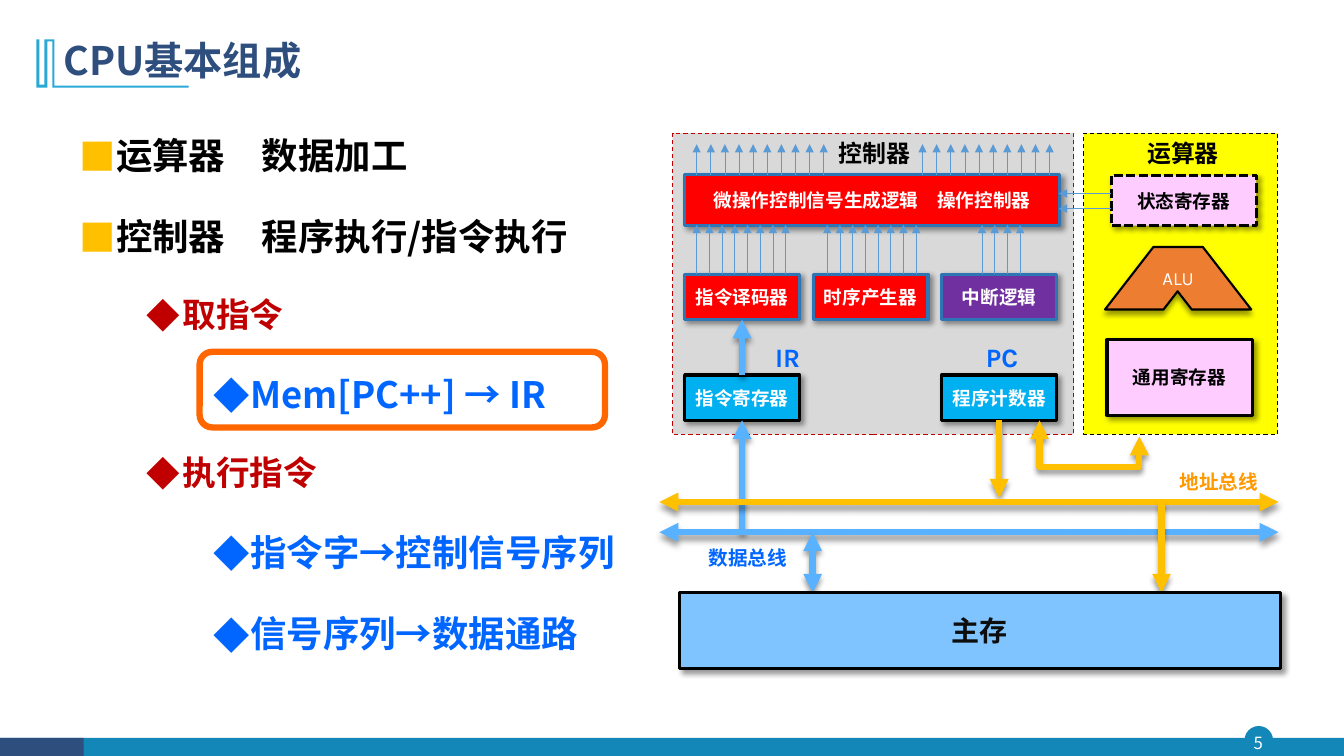
from lxml import etree
from pptx import Presentation
from pptx.dml.color import RGBColor
from pptx.enum.dml import MSO_LINE
from pptx.enum.shapes import MSO_CONNECTOR, MSO_SHAPE
from pptx.enum.text import MSO_ANCHOR, MSO_AUTO_SIZE, PP_ALIGN
from pptx.oxml.ns import qn
from pptx.util import Inches, Pt

RECT, ROUND, OVAL = MSO_SHAPE.RECTANGLE, MSO_SHAPE.ROUNDED_RECTANGLE, MSO_SHAPE.OVAL
DASH, DOTS = MSO_LINE.DASH, MSO_LINE.SQUARE_DOT
LEFT, CENTER = PP_ALIGN.LEFT, PP_ALIGN.CENTER
STRAIGHT, MIDDLE = MSO_CONNECTOR.STRAIGHT, MSO_ANCHOR.MIDDLE
TOP, BOTTOM = 0, 2
HAN, LATIN = "Noto Sans CJK SC", "Karla"

BLACK = RGBColor(0, 0, 0)
WHITE = RGBColor(255, 255, 255)
NAVY = RGBColor(0x2E, 0x4E, 0x7E)
TEAL = RGBColor(0x13, 0x87, 0xB7)
CYAN = RGBColor(0x28, 0xA9, 0xD6)
YELLOW = RGBColor(255, 255, 0)
PINK = RGBColor(255, 0xCC, 255)
RUST = RGBColor(0xED, 0x7D, 0x31)
GRAY = RGBColor(0xD9, 0xD9, 0xD9)
RED = RGBColor(255, 0, 0)
DARK_RED = RGBColor(0xC0, 0, 0)
PURPLE = RGBColor(0x70, 0x30, 0xA0)
EDGE = RGBColor(0x2E, 0x75, 0xB6)
SIGNAL = RGBColor(0x5B, 0x9B, 0xD5)
AQUA = RGBColor(0, 0xB0, 0xF0)
GOLD = RGBColor(255, 0xC0, 0)
SKY = RGBColor(0x59, 0xB2, 255)
PALE = RGBColor(0x7F, 0xC4, 255)
INK = RGBColor(0x0D, 0x0D, 0x0D)
BLUE = RGBColor(0, 0x66, 255)
AMBER = RGBColor(255, 0x99, 0)
ORANGE = RGBColor(255, 0x66, 0)


def style(para, size, color, bold=True, face=HAN, align=LEFT):
    para.alignment = align
    font = para.font
    font.size, font.bold, font.name = Pt(size), bold, face
    font.color.rgb = color
    etree.SubElement(font._element.find(qn("a:defRPr")) if font._element.tag == qn("a:pPr")
                     else font._element, qn("a:ea"), typeface=HAN) if hasattr(font, "_element") \
        else etree.SubElement(para._p.pPr.find(qn("a:defRPr")), qn("a:ea"), typeface=HAN)


def effect(shape, angle=None):
    """Clear the theme shadow; with an angle, cast a soft one that way."""
    props = shape._element.spPr
    node = props.find(qn("a:effectLst"))
    if node is None:
        node = etree.SubElement(props, qn("a:effectLst"))
    if angle is not None:
        cast = etree.SubElement(node, qn("a:outerShdw"), blurRad=str(Pt(4)), dist=str(Pt(3)),
                                dir=str(angle * 60000), algn="ctr", rotWithShape="0")
        tint = etree.SubElement(cast, qn("a:srgbClr"), val="000000")
        etree.SubElement(tint, qn("a:alpha"), val="40000")


def paint(shape, fill, edge=None, width=1, dash=None, angle=None):
    if fill is None:
        shape.fill.background()
    else:
        shape.fill.solid()
        shape.fill.fore_color.rgb = fill
    if edge is None:
        shape.line.fill.background()
    else:
        shape.line.color.rgb = edge
        shape.line.width = Pt(width)
        if dash:
            shape.line.dash_style = dash
    effect(shape, angle)


def write(shape, text, size, color, bold=True, face=HAN, align=CENTER):
    frame = shape.text_frame
    frame.vertical_anchor = MIDDLE
    frame.word_wrap = True
    if align == CENTER:
        frame.margin_left = frame.margin_right = 0
        frame.margin_top = frame.margin_bottom = 0
    frame.text = text
    style(frame.paragraphs[0], size, color, bold, face, align)


def block(tree, box, fill, edge=None, width=1, dash=None, angle=None, kind=RECT):
    shape = tree.add_shape(kind, *map(Inches, box))
    paint(shape, fill, edge, width, dash, angle)
    return shape


def unit(tree, box, text, fill, edge, color=WHITE, size=13.3, dash=None):
    """A labelled hardware block with a shadow."""
    shape = block(tree, box, fill, edge, 2.25, dash, 45)
    write(shape, text, size, color)
    return shape


def label(tree, box, text, size, color, face=HAN, bold=True, align=LEFT):
    write(tree.add_textbox(*map(Inches, box)), text, size, color, bold, face, align)


def tips(shape, ends):
    for end in ends:
        etree.SubElement(shape.line._get_or_add_ln(), qn(f"a:{end}End"), type="triangle")


def arrow(tree, start, stop, color, width=4.5, ends=("tail",), angle=90):
    line = tree.add_connector(STRAIGHT, *map(Inches, (*start, *stop)))
    line.line.color.rgb = color
    line.line.width = Pt(width)
    tips(line, ends)
    effect(line, angle)
    return line


def fan(tree, x, low, high, count, step):
    """A row of thin upward signal arrows."""
    for i in range(count):
        at = x + i * step
        arrow(tree, (at, low), (at, high), SIGNAL, 0.5, angle=None)


def outline(tree, x, y, points, close=True):
    spots = [(Inches(x + dx), Inches(y + dy)) for dx, dy in points]
    form = tree.build_freeform(*spots[0], scale=1.0)
    form.add_line_segments(spots[1:], close=close)
    return form.convert_to_shape()


def frame_page(tree, wide, high):
    block(tree, (wide - 0.98, high - 0.29, 0.27, 0.27), TEAL, TEAL, kind=OVAL)
    block(tree, (0, high - 0.18, wide, 0.18), TEAL)
    block(tree, (0, high - 0.18, 0.83, 0.18), NAVY)
    label(tree, (wide - 1.01, high - 0.29, 0.32, 0.31), "5", 12, WHITE, bold=False, align=CENTER)
    mark = [(0.18, 0), (0.18, 0.46), (1.51, 0.46), (1.51, 0.48), (0.16, 0.48), (0.16, 0.02),
            (0.11, 0.02), (0.11, 0.48), (0, 0.48), (0, 0), (0.03, 0), (0.03, 0.45),
            (0.08, 0.45), (0.08, 0)]
    paint(outline(tree, 0.36, 0.39, mark), CYAN)


def place(holder, box):
    holder.left, holder.top, holder.width, holder.height = map(Inches, box)
    holder.text_frame.auto_size = MSO_AUTO_SIZE.NONE
    holder.text_frame.word_wrap = True


def heading(holder, box):
    place(holder, box)
    write(holder, "CPU基本组成", 28, NAVY, align=LEFT)
    holder.text_frame.paragraphs[0].line_spacing = 0.9


def outline_list(holder, box):
    place(holder, box)
    frame = holder.text_frame
    frame.vertical_anchor = MSO_ANCHOR.TOP
    items = [(0, "运算器　数据加工"), (0, "控制器　程序执行/指令执行"), (1, "取指令"),
             (2, "Mem[PC++] → IR"), (1, "执行指令"), (2, "指令字→控制信号序列"),
             (2, "信号序列→数据通路")]
    looks = [(0.36, "■", GOLD, 26, BLACK), (1.02, "◆", DARK_RED, 24, DARK_RED),
             (1.69, "◆", BLUE, 26, BLUE)]
    for i, (level, text) in enumerate(items):
        indent, sign, tint, size, color = looks[level]
        para = frame.add_paragraph() if i else frame.paragraphs[0]
        para.text, para.level, para.line_spacing = text, level, 1.5
        para.space_before, para.space_after = Pt(5.7 if i else 0), Pt(5.7)
        props = para._p.get_or_add_pPr()
        props.set("marL", str(Inches(indent)))
        props.set("indent", str(Inches(-0.36)))
        paint_node = etree.SubElement(props, qn("a:buClr"))
        etree.SubElement(paint_node, qn("a:srgbClr"), val=str(tint))
        etree.SubElement(props, qn("a:buFont"), typeface=HAN)
        etree.SubElement(props, qn("a:buChar"), char=sign)
        style(para, size, color)


def arith(tree, x, y, w, h):
    block(tree, (x, y, w, h), YELLOW, BLACK, 0.75, DASH)
    unit(tree, (x + 0.23, y + 2.05, 1.44, 0.75), "通用寄存器", PINK, BLACK, BLACK)
    alu = outline(tree, x + 0.21, y + 1.13, [(0.48, 0), (0, 0.62), (0.58, 0.62), (0.72, 0.44),
                                             (0.86, 0.62), (1.45, 0.62), (0.97, 0)])
    paint(alu, RUST, BLACK, 1.5, angle=90)
    write(alu, "ALU", 13.3, WHITE, False, LATIN)
    unit(tree, (x + 0.27, y + 0.42, 1.44, 0.5), "状态寄存器", PINK, BLACK, BLACK, dash=DOTS)
    label(tree, (x + 0.53, y + 0.05, 1.18, 0.3), "运算器", 17.1, BLACK)


def control(tree, x, y, w, h):
    """Draw the control unit; return its instruction register and program counter."""
    block(tree, (x, y, w, h), GRAY, DARK_RED, 0.75, DASH)
    label(tree, (x + 1.55, y + 0.05, 1.18, 0.3), "控制器", 17.1, BLACK)
    unit(tree, (x + 0.12, y + 0.41, 3.72, 0.51), "微操作控制信号生成逻辑　操作控制器", RED, EDGE)
    for dx in (0.24, 2.48):
        fan(tree, x + dx, y + 0.42, y + 0.11, 10, 0.14)
    row = [("指令译码器", RED, 0.12, 8), ("时序产生器", RED, 0.14, 8), ("中断逻辑", PURPLE, 0.4, 4)]
    cols = [x + 0.12 + i * 1.275 for i in range(3)]
    tops = []
    for col, (text, fill, dx, count) in zip(cols, row):
        tops.append(unit(tree, (col, y + 1.4, 1.14, 0.45), text, fill, EDGE))
        fan(tree, col + dx, y + 1.4, y + 0.91, count, 0.126)
    regs = []
    for col, text, name, dx in ((cols[0], "指令寄存器", "IR", 0.82),
                                (cols[2], "程序计数器", "PC", 2.91)):
        regs.append(unit(tree, (col, y + 2.4, 1.14, 0.45), text, AQUA, BLACK))
        label(tree, (x + dx + 0.1, y + 1.97, 0.63, 0.51), name, 19, BLUE, LATIN)
    load = arrow(tree, (cols[0] + 0.57, y + 1.85), (cols[0] + 0.57, y + 2.4), SKY, ends=("head",))
    load.begin_connect(tops[0], BOTTOM)
    load.end_connect(regs[0], TOP)
    return regs


def buses(tree, x, y, w, h, ir, pc):
    """Draw both buses and the main memory, joined to the two registers."""
    both, data = ("head", "tail"), y + 0.3
    fetch = arrow(tree, (x + 0.82, y - 0.81), (x + 0.82, data), SKY, ends=("head",))
    fetch.begin_connect(ir, BOTTOM)
    send = arrow(tree, (x + 3.37, y - 0.81), (x + 3.37, y - 0.04), GOLD)
    send.begin_connect(pc, BOTTOM)
    for level, color in ((y, GOLD), (data, SKY)):
        arrow(tree, (x, level), (x + w, level), color, ends=both)
    arrow(tree, (x + 1.52, data), (x + 1.52, y + 0.9), SKY, ends=both)
    arrow(tree, (x + 4.98, y), (x + 4.98, y + 0.9), GOLD)
    label(tree, (x + 5.06, y - 0.46, 1.08, 0.51), "地址总线", 14, AMBER)
    label(tree, (x + 0.39, data, 1.08, 0.51), "数据总线", 14, BLUE)
    unit(tree, (x + 0.2, y + 0.9, 5.96, h - 0.9), "主存", PALE, BLACK, INK, 20)
    bend = outline(tree, x + 3.77, y - 0.81, [(0, 0), (0, 0.46), (0.99, 0.46), (0.99, 0.16)], False)
    paint(bend, None, GOLD, 4.5, angle=90)
    tips(bend, both)


def main():
    deck = Presentation()
    deck.slide_width, deck.slide_height = Inches(13.33), Inches(7.5)
    slide = deck.slides.add_slide(deck.slide_layouts[1])
    tree = slide.shapes
    frame_page(tree, 13.33, 7.5)
    heading(tree.title, (0.53, 0.28, 11.5, 0.68))
    outline_list(slide.placeholders[1], (0.69, 1.05, 5.61, 5.63))
    arith(tree, 10.75, 1.32, 1.92, 2.99)
    ir, pc = control(tree, 6.67, 1.32, 3.98, 2.99)
    for y in (1.92, 2.07):
        arrow(tree, (11.02, y), (10.5, y), SIGNAL, 0.5, angle=None)
    buses(tree, 6.54, 4.98, 6.14, 1.65, ir, pc)
    block(tree, (1.98, 3.49, 4.02, 0.75), None, ORANGE, 4.5, kind=ROUND)
    deck.save("out.pptx")


if __name__ == "__main__":
    main()
